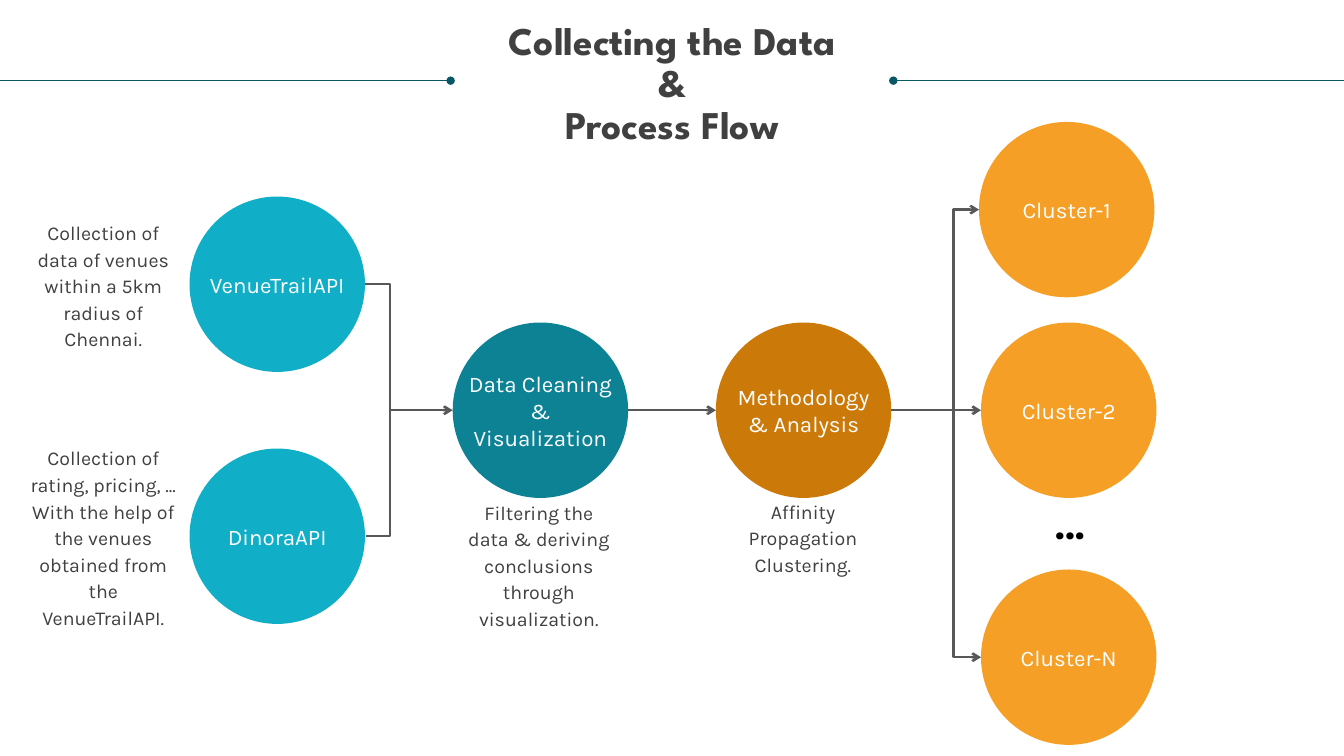
from dataclasses import dataclass

from lxml.etree import SubElement
from pptx import Presentation
from pptx.dml.color import RGBColor
from pptx.enum.shapes import MSO_CONNECTOR, MSO_SHAPE
from pptx.enum.text import MSO_ANCHOR, MSO_AUTO_SIZE, PP_ALIGN
from pptx.oxml.ns import qn
from pptx.util import Inches, Pt


@dataclass(frozen=True)
class Theme:
    heading_font: str = "League Spartan"
    body_font: str = "Karla"
    title_size: int = 28
    label_size: int = 16
    note_size: int = 14
    dots_size: int = 32
    text: str = "404040"
    white: str = "FFFFFF"
    black: str = "000000"
    rule: str = "085764"
    flow: str = "585858"
    source: str = "11AEC7"
    cleaning: str = "0D8295"
    analysis: str = "CB7A09"
    cluster: str = "F59F26"


THEME = Theme()
DIAMETER = 1.74
RADIUS = DIAMETER / 2
LABEL_WIDTH = 1.5
NOTE_WIDTH = 1.47
BEND = 0.25
MIDDLE = 4.07

# label, centre x, centre y, fill
STEPS = [
    ("VenueTrailAPI", 2.75, 2.82, THEME.source),
    ("DinoraAPI", 2.75, 5.32, THEME.source),
    ("Data Cleaning & Visualization", 5.36, MIDDLE, THEME.cleaning),
    ("Methodology & Analysis", 7.97, MIDDLE, THEME.analysis),
    ("Cluster-2", 10.6, MIDDLE, THEME.cluster),
    ("Cluster-1", 10.58, 2.08, THEME.cluster),
    ("Cluster-N", 10.6, 6.52, THEME.cluster),
]

# text, left, top, height
NOTES = [
    ("Affinity Propagation Clustering.", 7.23, 4.93, 0.78),
    ("Filtering the data & deriving conclusions through visualization.", 4.61, 4.94, 1.31),
    ("Collection of data of venues within a 5km radius of Chennai.", 0.29, 2.3, 1.04),
    ("Collection of rating, pricing, ... With the help of the venues "
     "obtained from the VenueTrailAPI.", 0.29, 4.4, 1.84),
]


def set_attributes(target, values):
    for name, value in values.items():
        setattr(target, name, value)


def fill_text(shape, paragraphs, font, size, color, bold=False,
              align=PP_ALIGN.CENTER, spacing=None, anchor=MSO_ANCHOR.MIDDLE, inset=0):
    frame = shape.text_frame
    frame.text = "\n".join(paragraphs)
    set_attributes(frame, {
        "word_wrap": True,
        "auto_size": MSO_AUTO_SIZE.NONE,
        "vertical_anchor": anchor,
        "margin_left": Inches(inset),
        "margin_right": Inches(inset),
        "margin_top": Inches(inset / 2),
        "margin_bottom": Inches(inset / 2),
    })
    for paragraph in frame.paragraphs:
        set_attributes(paragraph, {
            "alignment": align, "line_spacing": spacing,
            "space_before": Pt(0), "space_after": Pt(0),
        })
        for run in paragraph.runs:
            set_attributes(run.font, {"name": font, "size": Pt(size), "bold": bold})
            run.font.color.rgb = RGBColor.from_string(color)


def add_text(slide, text, left, top, width, height, **text_format):
    box = slide.shapes.add_textbox(Inches(left), Inches(top), Inches(width), Inches(height))
    fill_text(box, [text], THEME.body_font, **text_format)


def add_title(slide):
    title = slide.shapes.title
    set_attributes(title, {
        "left": Inches(0.25), "top": Inches(0.21),
        "width": Inches(12.83), "height": Inches(1.27),
    })
    fill_text(title, ["Collecting the Data\v&", "Process Flow"], THEME.heading_font,
              THEME.title_size, THEME.text, bold=True, spacing=0.9, anchor=MSO_ANCHOR.TOP)


def add_step(slide, label, center_x, center_y, fill):
    circle = slide.shapes.add_shape(
        MSO_SHAPE.OVAL, Inches(center_x - RADIUS), Inches(center_y - RADIUS),
        Inches(DIAMETER), Inches(DIAMETER))
    circle.shadow.inherit = False
    circle.fill.solid()
    circle.fill.fore_color.rgb = RGBColor.from_string(fill)
    circle.line.fill.background()
    height = 0.54 if " " in label else 0.27
    add_text(slide, label, center_x - LABEL_WIDTH / 2, center_y - height / 2,
             LABEL_WIDTH, height, size=THEME.label_size, color=THEME.white)


def add_line(slide, start, end, color, weight, head=None, tail=None, bend=None):
    """Draw a straight line, or an elbow whose middle lies bend inches right of start."""
    kind = MSO_CONNECTOR.STRAIGHT if bend is None else MSO_CONNECTOR.ELBOW
    connector = slide.shapes.add_connector(kind, *map(Inches, (*start, *end)))
    connector.line.color.rgb = RGBColor.from_string(color)
    connector.line.width = Pt(weight)
    properties = connector._element.spPr
    SubElement(properties, qn("a:effectLst"))
    outline = connector.line._get_or_add_ln()
    for tag, ending in (("a:headEnd", head), ("a:tailEnd", tail)):
        if ending:
            SubElement(outline, qn(tag), type=ending)
    if bend is not None:
        adjustment = round(bend / (end[0] - start[0]) * 100000)
        SubElement(properties.prstGeom.get_or_add_avLst(), qn("a:gd"),
                   name="adj1", fmla=f"val {adjustment}")


def add_flow(slide, start, end, **ends):
    add_line(slide, start, end, THEME.flow, 1.75, **ends)


def main():
    presentation = Presentation()
    presentation.slide_width = Inches(13.33)
    presentation.slide_height = Inches(7.5)
    slide = presentation.slides.add_slide(presentation.slide_layouts[5])

    add_title(slide)
    add_line(slide, (8.86, 0.8), (13.33, 0.8), THEME.rule, 0.5, head="oval")
    add_line(slide, (0, 0.8), (4.47, 0.8), THEME.rule, 0.5, tail="oval")

    for step in STEPS:
        add_step(slide, *step)

    add_flow(slide, (3.62, 2.82), (3.63, 5.32), bend=BEND)
    for start, end in ((3.87, 4.49), (6.23, 7.1), (8.84, 9.73)):
        add_flow(slide, (start, MIDDLE), (end, MIDDLE), tail="arrow")
    add_flow(slide, (9.71, 2.08), (9.73, 6.52), head="arrow", tail="arrow", bend=-BEND)

    for text, left, top, height in NOTES:
        add_text(slide, text, left, top, NOTE_WIDTH, height,
                 size=THEME.note_size, color=THEME.text, spacing=Pt(19))
    add_text(slide, "…", 10.37, 4.86, 0.96, 0.64, size=THEME.dots_size, color=THEME.black,
             bold=True, align=PP_ALIGN.LEFT, anchor=MSO_ANCHOR.TOP, inset=0.1)

    presentation.save("out.pptx")


if __name__ == "__main__":
    main()
